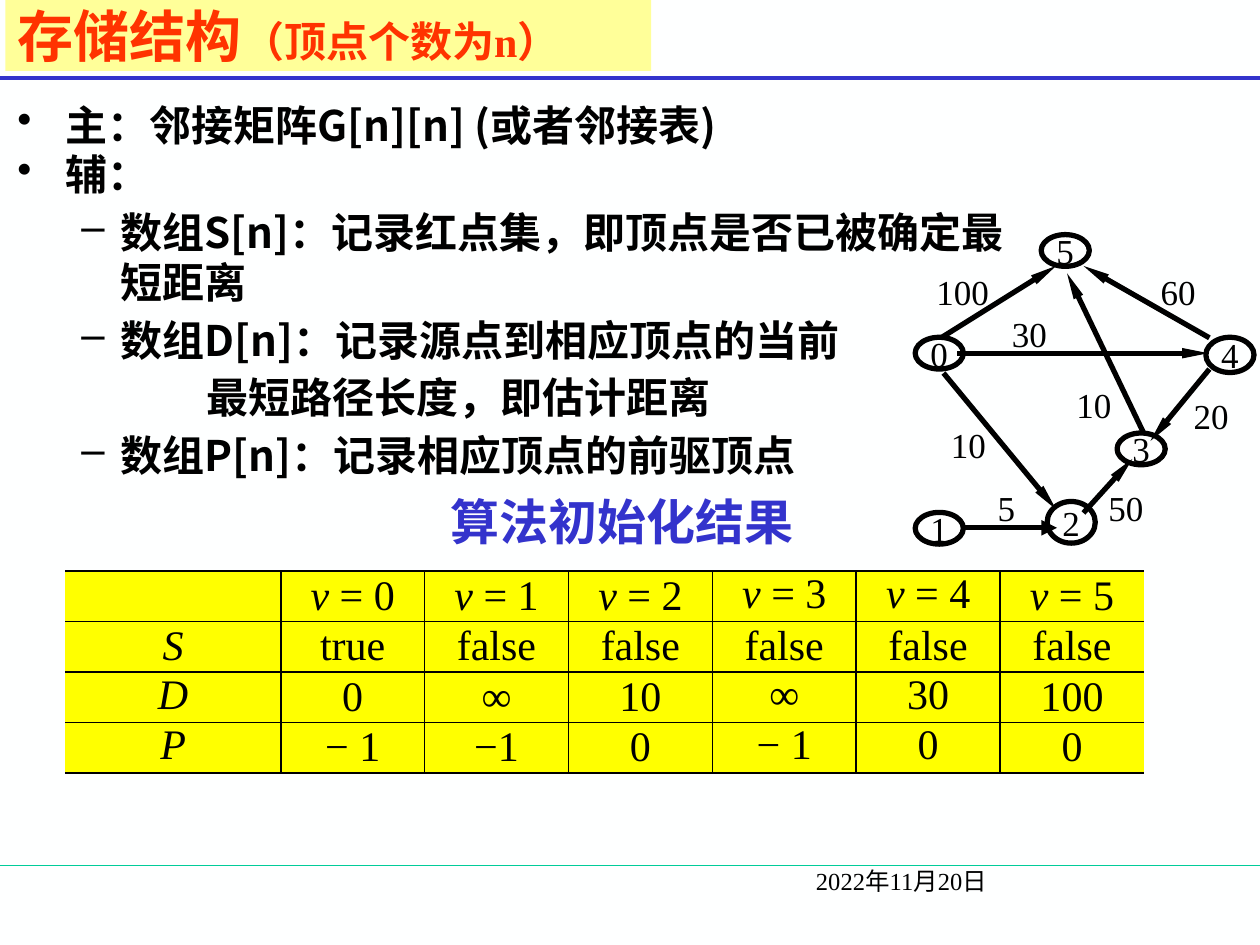
from lxml.etree import SubElement
from pptx import Presentation
from pptx.dml.color import RGBColor
from pptx.enum.shapes import MSO_CONNECTOR, MSO_SHAPE
from pptx.enum.text import MSO_ANCHOR, PP_ALIGN
from pptx.oxml.ns import qn
from pptx.util import Cm, Pt

COLORS = {
    "background": "FEFFFF", "title_fill": "FFFF99", "title": "FF3300",
    "rule": "3333CC", "footer_rule": "00CC99", "heading": "3333CC",
    "text": "000000", "cell": "FFFF00",
}
SERIF, SANS = "Times New Roman", "Noto Sans CJK SC"


def color(name):
    return RGBColor.from_string(COLORS[name])


def format_span(span, size, font=SERIF, ink="text", bold=False, italic=False):
    """Set the Latin and East Asian fonts, size, colour and style of a run."""
    span.font.name, span.font.size = font, Pt(size)
    span.font.bold, span.font.italic = bold, italic
    span.font.color.rgb = color(ink)
    SubElement(span.font._element, qn("a:ea"), typeface=SANS)


deck = Presentation()
deck.slide_width, deck.slide_height = Cm(25.4), Cm(19.05)
page = deck.slides.add_slide(deck.slide_layouts[6])
page.background.fill.solid()
page.background.fill.fore_color.rgb = color("background")

# Title, date and body text
title = page.shapes.add_shape(MSO_SHAPE.RECTANGLE, Cm(0.11), Cm(0), Cm(13.02), Cm(1.43))
title.shadow.inherit = False
title.fill.solid()
title.fill.fore_color.rgb = color("title_fill")
title.line.fill.background()
title.text_frame.vertical_anchor = MSO_ANCHOR.MIDDLE
para = title.text_frame.paragraphs[0]
para.alignment = PP_ALIGN.LEFT
for text, size in (("存储结构", 32), ("（顶点个数为n）", 24)):
    span = para.add_run()
    span.text = text
    format_span(span, size, ink="title", bold=True)

date = page.shapes.add_textbox(Cm(16.2), Cm(17.34), Cm(9), Cm(1.27))
date.text_frame.word_wrap = True
date.text_frame.text = "2022年11月20日"
format_span(date.text_frame.paragraphs[0].runs[0], 14)

# text, bullet, left margin, first-line indent, line spacing, space before
body_lines = [
    ("主：邻接矩阵G[n][n] (或者邻接表)", "•", 0.97, -0.97, 0.85, 0),
    ("辅：", "•", 0.97, -0.97, 0.85, 4),
    ("数组S[n]：记录红点集，即顶点是否已被确定最短距离", "–", 2.08, -0.79, 1, 4),
    ("数组D[n]：记录源点到相应顶点的当前", "–", 2.08, -0.79, 1, 4),
    ("最短路径长度，即估计距离", None, 3.81, 0, 1, 4),
    ("数组P[n]：记录相应顶点的前驱顶点", "–", 2.08, -0.79, 1, 4),
]
body = page.shapes.add_textbox(Cm(0.1), Cm(2.03), Cm(20.52), Cm(7.01))
body.text_frame.word_wrap = True
body.text_frame.text = "\n".join(line[0] for line in body_lines)
for para, line in zip(body.text_frame.paragraphs, body_lines):
    _, bullet, margin, indent, spacing, before = line
    properties = para._p.get_or_add_pPr()
    properties.set("marL", str(Cm(margin)))
    properties.set("indent", str(Cm(indent)))
    para.line_spacing = float(spacing)
    para.space_before = Pt(before)
    if bullet:
        SubElement(properties, qn("a:buChar"), char=bullet)
    format_span(para.runs[0], 24, SANS, bold=True)

heading = page.shapes.add_textbox(Cm(8.13), Cm(9.77), Cm(8.33), Cm(1.45))
heading.text_frame.word_wrap = True
heading.text_frame.vertical_anchor = MSO_ANCHOR.MIDDLE
heading.text_frame.text = "算法初始化结果"
para = heading.text_frame.paragraphs[0]
para._p.get_or_add_pPr().set("indent", str(Cm(0.71)))
format_span(para.runs[0], 28, "Arial", "heading", bold=True)

# Graph nodes: name, left, top, height
nodes = [
    ("5", 20.99, 4.73, 0.64), ("4", 24.31, 6.8, 0.71), ("0", 18.45, 6.8, 0.64),
    ("3", 22.52, 8.73, 0.64), ("1", 18.45, 10.33, 0.64), ("2", 21.11, 10.11, 0.84),
]
for name, left, top, height in nodes:
    node = page.shapes.add_shape(MSO_SHAPE.OVAL, Cm(left), Cm(top), Cm(0.97), Cm(height))
    node.shadow.inherit = False
    node.fill.background()
    node.line.color.rgb = color("text")
    node.line.width = Pt(3)
    node.text_frame.word_wrap = False
    node.text_frame.vertical_anchor = MSO_ANCHOR.MIDDLE
    node.text_frame.text = name
    node.text_frame.paragraphs[0].alignment = PP_ALIGN.CENTER
    format_span(node.text_frame.paragraphs[0].runs[0], 20)

# Weighted edges: ends, then weight with the left, top and width of its label
edges = [
    ((18.97, 6.81, 21.29, 5.36), "100", 18.54, 5.33, 1.73),
    ((24.38, 6.81, 21.84, 5.36), "60", 22.91, 5.33, 1.68),
    ((19.3, 7.12, 24.36, 7.12), "30", 20, 6.17, 1.5),
    ((19.02, 7.52, 21.29, 10.27), "10", 18.87, 8.41, 1.3),
    ((23.06, 8.74, 21.51, 5.51), "10", 21.44, 7.6, 1.22),
    ((24.38, 7.44, 23.19, 8.89), "20", 23.73, 7.82, 1.37),
    ((21.84, 10.34, 22.83, 9.25), "50", 22.01, 9.68, 1.37),
    ((19.41, 10.64, 21.31, 10.64), "5", 19.86, 9.68, 0.84),
]
for _, weight, left, top, width in edges:
    label = page.shapes.add_textbox(Cm(left), Cm(top), Cm(width), Cm(0.97))
    label.text_frame.word_wrap = False
    label.text_frame.text = weight
    label.text_frame.paragraphs[0].alignment = PP_ALIGN.CENTER
    format_span(label.text_frame.paragraphs[0].runs[0], 20)

# Rules and edges: ends, colour, width, arrowhead width and length
lines = [
    ((0, 1.57, 25.4, 1.57), "rule", 2.25, None),
    ((0, 17.45, 25.4, 17.45), "footer_rule", 0.75, None),
]
for ends, weight, *_ in edges:
    lines.append((ends, "text", 3, ("med", "med") if weight == "5" else ("sm", "lg")))
for ends, ink, width, arrow in lines:
    line = page.shapes.add_connector(MSO_CONNECTOR.STRAIGHT, *map(Cm, ends))
    line.line.color.rgb = color(ink)
    line.line.width = Pt(width)
    if arrow:
        SubElement(line.line._get_or_add_ln(), qn("a:tailEnd"),
                   type="triangle", w=arrow[0], len=arrow[1])
    SubElement(line._element.spPr, qn("a:effectLst"))

# Initial state of the algorithm
states = [
    [""] + [f"v = {vertex}" for vertex in range(6)],
    ["S", "true"] + ["false"] * 5,
    ["D", "0", "∞", "10", "∞", "30", "100"],
    ["P", "− 1", "−1", "0", "− 1", "0", "0"],
]
table = page.shapes.add_table(4, 7, Cm(1.32), Cm(11.51), Cm(21.74), Cm(4.06)).table
table.first_row = table.horz_banding = False
for index, column in enumerate(table.columns):
    column.width = Cm(2.9 if index else 4.34)
for row, values in enumerate(states):
    table.rows[row].height = Cm(1.015)
    for col, value in enumerate(values):
        cell = table.cell(row, col)
        cell.margin_left = cell.margin_right = Cm(0.18)
        cell.margin_top = cell.margin_bottom = Cm(0)
        at_top = row != 1 and col in (0, 4, 5)
        cell.vertical_anchor = MSO_ANCHOR.TOP if at_top else MSO_ANCHOR.MIDDLE
        para = cell.text_frame.paragraphs[0]
        para.alignment = PP_ALIGN.CENTER
        pieces = [value[:2], value[2:]] if row == 0 else [value]
        for piece in filter(None, pieces):
            span = para.add_run()
            span.text = piece
            format_span(span, 24, italic=piece in ("v ", "S", "D", "P"))
        properties = cell._tc.get_or_add_tcPr()
        for side in ("lnL", "lnR", "lnT", "lnB"):
            border = SubElement(properties, qn(f"a:{side}"), w=str(Pt(1)))
            if (side, col) in (("lnL", 0), ("lnR", 6)):
                SubElement(border, qn("a:noFill"))
            else:
                fill = SubElement(border, qn("a:solidFill"))
                SubElement(fill, qn("a:srgbClr"), val=COLORS["text"])
        cell.fill.solid()
        cell.fill.fore_color.rgb = color("cell")

deck.save("out.pptx")
